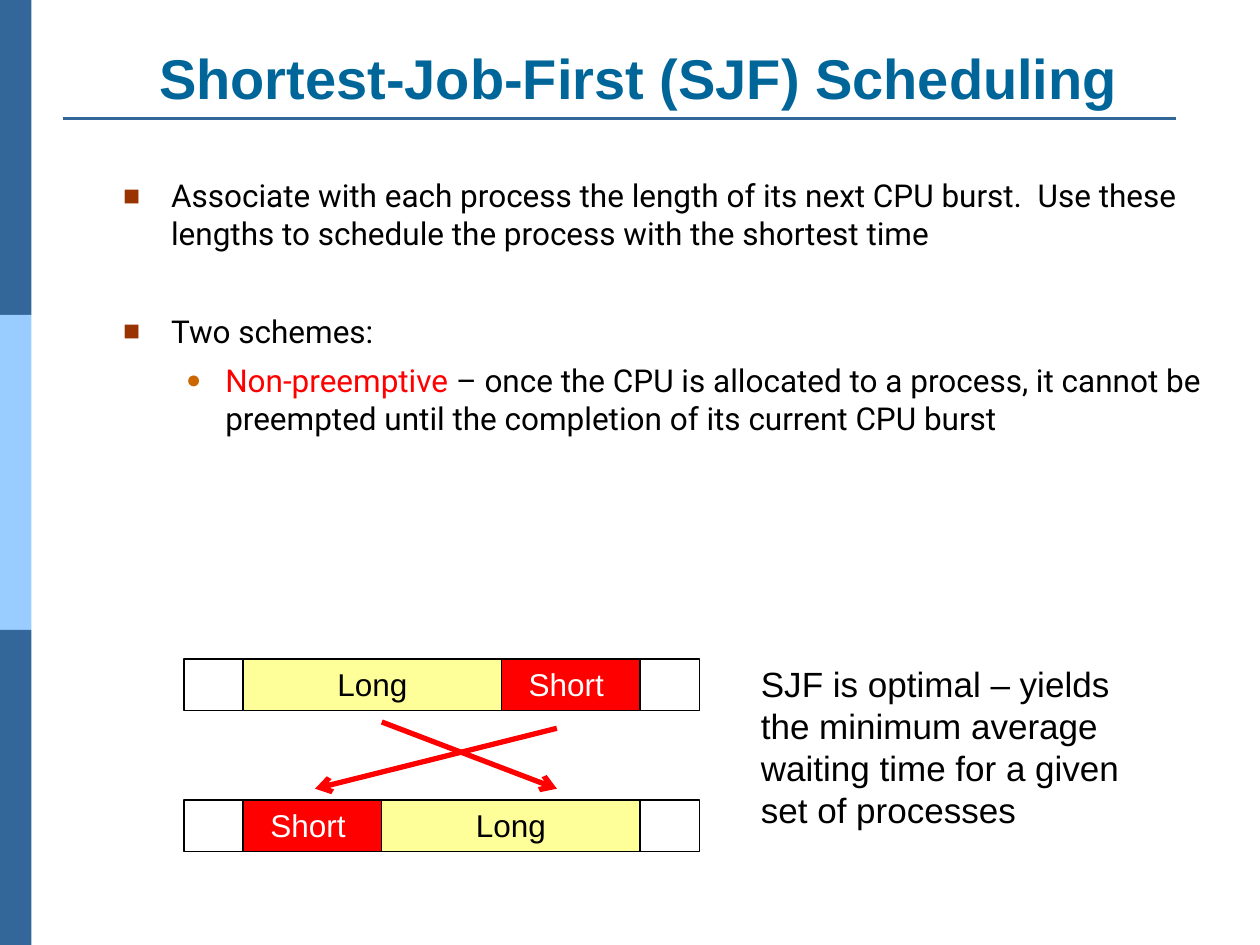
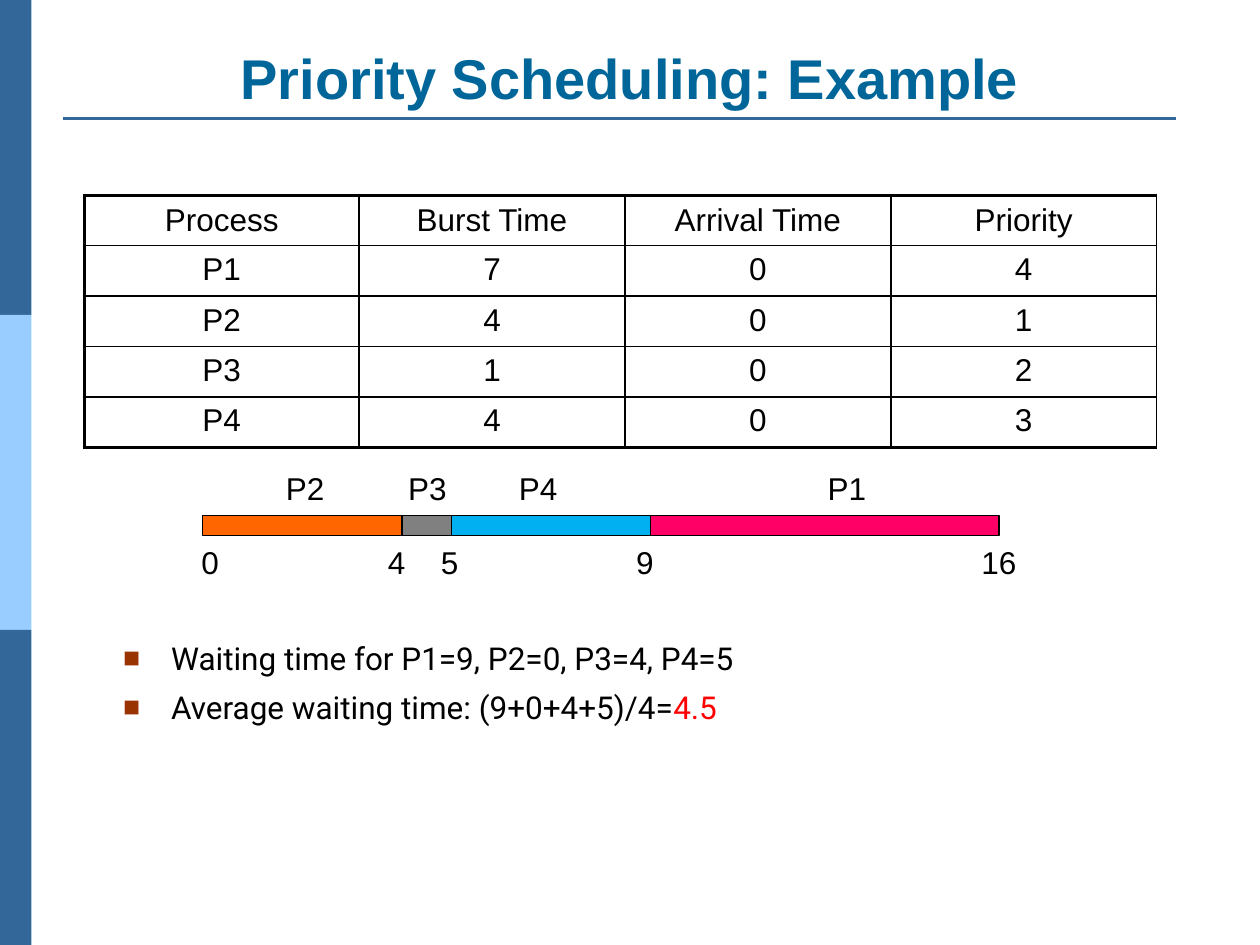
from itertools import pairwise
from lxml.etree import SubElement
from pptx import Presentation
from pptx.dml.color import RGBColor
from pptx.enum.shapes import MSO_CONNECTOR as Connector, MSO_SHAPE as Shape
from pptx.enum.text import MSO_ANCHOR as Anchor, PP_ALIGN as Align
from pptx.oxml import parse_xml
from pptx.oxml.ns import nsdecls, qn
from pptx.util import Inches, Pt

BLACK = RGBColor(0x00, 0x00, 0x00)
WHITE = RGBColor(0xFF, 0xFF, 0xFF)
NAVY = RGBColor(0x33, 0x66, 0x99)
SKY = RGBColor(0x99, 0xCC, 0xFF)
TITLE_BLUE = RGBColor(0x00, 0x66, 0x99)
RED = RGBColor(0xFF, 0x00, 0x00)
YELLOW = RGBColor(0xFF, 0xFF, 0x99)
ORANGE = RGBColor(0xFF, 0x66, 0x00)
GREY = RGBColor(0x80, 0x80, 0x80)
CYAN = RGBColor(0x00, 0xB0, 0xF0)
PINK = RGBColor(0xFF, 0x00, 0x66)
BROWN = RGBColor(0x99, 0x33, 0x00)
AMBER = RGBColor(0xCC, 0x66, 0x00)

deck = Presentation()
deck.slide_width, deck.slide_height = Inches(10), Inches(7.5)
COLUMN = deck.slide_width / 40
ROW = deck.slide_height / 30


def write(para, text, size=18, font="Arial", color=BLACK, bold=False, align=Align.LEFT):
    para.alignment = align
    span = para.add_run()
    span.text = text
    span.font.size = Pt(size)
    span.font.name = font
    span.font.color.rgb = color
    span.font.bold = bold


def block(page, left, top, width, height, fill=None, line=None, anchor=Anchor.TOP):
    area = int(left * COLUMN), int(top * ROW), int(width * COLUMN), int(height * ROW)
    if fill is None and line is None:
        box = page.shapes.add_textbox(*area)
    else:
        box = page.shapes.add_shape(Shape.RECTANGLE, *area)
        box.shadow.inherit = False
        if fill is None:
            box.fill.background()
        else:
            box.fill.solid()
            box.fill.fore_color.rgb = fill
        if line is None:
            box.line.fill.background()
        else:
            box.line.color.rgb = line
            box.line.width = Pt(0.75)
    box.text_frame.word_wrap = True
    box.text_frame.vertical_anchor = anchor
    return box


BULLETS = [
    dict(char="■", color=BROWN, percent=90, margin=0.38, hang=0.38),
    dict(char="●", color=AMBER, percent=80, margin=0.81, hang=0.31),
]
BULLET_GAP = 6.3
SECTION_GAP = 34.3

outlines = [
    dict(
        title="Shortest-Job-First (SJF) Scheduling", title_left=2.28, top=5.4, height=19.8,
        items=[
            (0, 0, [("Associate with each process the length of its next CPU burst.  "
                     "Use these lengths to schedule the process with the shortest time", BLACK)]),
            (0, SECTION_GAP, [("Two schemes:", BLACK)]),
            (1, BULLET_GAP, [("Non-preemptive", RED),
                             (" – once the CPU is allocated to a process, it cannot be "
                              "preempted until the completion of its current CPU burst", BLACK)]),
        ],
        arrows=[],
    ),
    dict(
        title="Priority Scheduling: Example", title_left=2, top=20.08, height=5.12,
        items=[
            (0, 0, [("Waiting time for P1=9, P2=0, P3=4, P4=5", BLACK)]),
            (0, BULLET_GAP, [("Average waiting time: (9+0+4+5)/4=", BLACK), ("4.5", RED)]),
        ],
        arrows=[],
    ),
]
outlines[0]["arrows"] = [(17.68, 23.12, 10, 25.04), (12.12, 22.92, 17.68, 25.04)]

pages = []
for outline in outlines:
    page = deck.slides.add_slide(deck.slide_layouts[6])
    pages.append(page)
    for index, color in enumerate([NAVY, SKY, NAVY]):
        block(page, 0, index * 10, 1, 10, fill=color)

    title = block(page, outline["title_left"], 1.2, 36, 2.52, anchor=Anchor.BOTTOM)
    write(title.text_frame.paragraphs[0], outline["title"], size=32, color=TITLE_BLUE,
          bold=True, align=Align.CENTER)

    body = block(page, 3.52, outline["top"], 36, outline["height"]).text_frame
    for index, (level, gap, spans) in enumerate(outline["items"]):
        para = body.add_paragraph() if index else body.paragraphs[0]
        for text, color in spans:
            write(para, text, font="Roboto", color=color)
        para.level = level
        para.space_before = Pt(gap)
        bullet = BULLETS[level]
        props = para._p.get_or_add_pPr()
        props.set("marL", str(Inches(bullet["margin"])))
        props.set("indent", str(-Inches(bullet["hang"])))
        SubElement(SubElement(props, qn("a:buClr")), qn("a:srgbClr"), val=str(bullet["color"]))
        SubElement(props, qn("a:buSzPct"), val=str(bullet["percent"] * 1000))
        SubElement(props, qn("a:buFont"), typeface="Arial")
        SubElement(props, qn("a:buChar"), char=bullet["char"])

    rule = (2, 3.76, 37.32, 3.76)
    for ends in [rule] + outline["arrows"]:
        x1, y1, x2, y2 = ends
        line = page.shapes.add_connector(Connector.STRAIGHT, int(x1 * COLUMN), int(y1 * ROW),
                                         int(x2 * COLUMN), int(y2 * ROW))
        line.line.color.rgb = NAVY if ends == rule else RED
        line.line.width = Pt(1.5 if ends == rule else 3)
        SubElement(line._element.spPr, qn("a:effectLst"))
        if ends != rule:
            SubElement(line.line._get_or_add_ln(), qn("a:tailEnd"), type="arrow")

sjf_page, priority_page = pages

note = block(sjf_page, 23.76, 20.84, 12.6, 5.8)
write(note.text_frame.paragraphs[0],
      "SJF is optimal – yields the minimum average waiting time for a given set of processes",
      size=20)

idle = ("", 1.88, None, BLACK)
long_job = ("Long", 8.2, YELLOW, BLACK)
short_job = ("Short ", 4.4, RED, WHITE)
for top, jobs in [(20.92, [idle, long_job, short_job, idle]),
                  (25.4, [idle, short_job, long_job, idle])]:
    left = 5.84
    for text, width, fill, color in jobs:
        job = block(sjf_page, left, top, width, 1.64, fill=fill, line=BLACK)
        if text:
            write(job.text_frame.paragraphs[0], text, color=color, align=Align.CENTER)
        left += width

processes = [
    ["Process", "Burst Time", "Arrival Time", "Priority"],
    ["P1", "7", "0", "4"],
    ["P2", "4", "0", "1"],
    ["P3", "1", "0", "2"],
    ["P4", "4", "0", "3"],
]
column_widths = [8.72, 8.44, 8.44, 8.44]
table = priority_page.shapes.add_table(
    len(processes), len(column_widths), int(2.68 * COLUMN), int(6.2 * ROW),
    int(sum(column_widths) * COLUMN), int(len(processes) * 1.6 * ROW)).table
table.first_row = table.horz_banding = False
for column, width in zip(table.columns, column_widths):
    column.width = int(width * COLUMN)
last_row = len(processes) - 1
for row, values in enumerate(processes):
    for column, value in enumerate(values):
        cell = table.cell(row, column)
        cell.vertical_anchor = Anchor.TOP if row else Anchor.MIDDLE
        write(cell.text_frame.paragraphs[0], value, align=Align.CENTER)
        cell.fill.background()
        outer_edges = {"L": column == 0, "R": False, "T": row == 0, "B": row == last_row}
        for index, (side, outer) in enumerate(outer_edges.items()):
            border = parse_xml(
                f'<a:ln{side} {nsdecls("a")} w="{Pt(2.25 if outer else 1)}">'
                f'<a:solidFill><a:srgbClr val="{BLACK}"/></a:solidFill></a:ln{side}>')
            cell._tc.get_or_add_tcPr().insert(index, border)

TIME_UNIT = 1.58
CHART_LEFT = 6.44
ticks = {0: 6, 4: 11.92, 5: 13.6, 9: 19.8, 16: 30.76}
bursts = [("P2", 8.68, ORANGE), ("P3", 12.56, GREY), ("P4", 16.08, CYAN), ("P1", 25.88, PINK)]
for (start, end), (name, label_left, color) in zip(pairwise(ticks), bursts):
    block(priority_page, CHART_LEFT + start * TIME_UNIT, 16.36, (end - start) * TIME_UNIT, 0.64,
          fill=color, line=BLACK)
    label = block(priority_page, label_left, 14.68, 2.2, 1.6)
    write(label.text_frame.paragraphs[0], name)
for time, tick_left in ticks.items():
    tick = block(priority_page, tick_left, 17.04, 2.2, 1.6)
    write(tick.text_frame.paragraphs[0], str(time))

deck.save("out.pptx")
